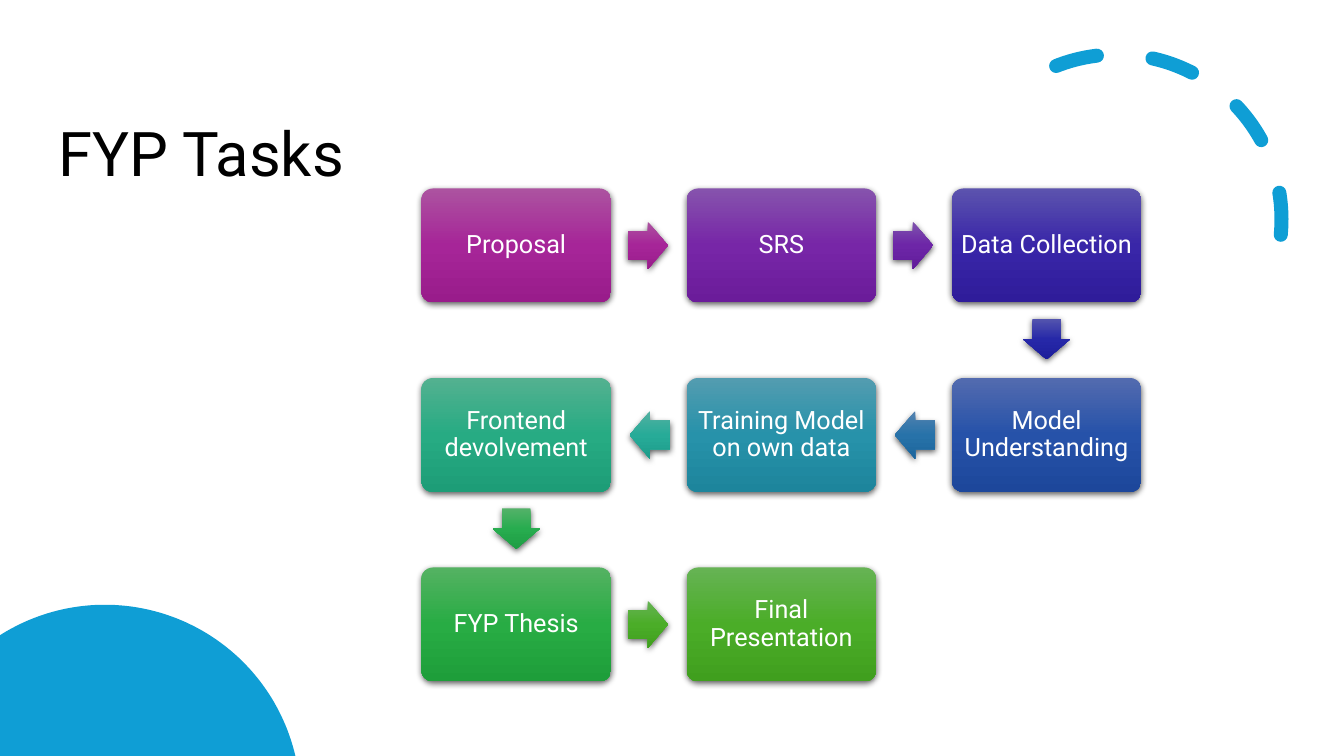
from math import acos, asin, cos, sin

from pptx import Presentation
from pptx.dml.color import RGBColor
from pptx.enum.dml import MSO_LINE
from pptx.enum.shapes import MSO_SHAPE
from pptx.enum.text import MSO_ANCHOR, MSO_AUTO_SIZE, PP_ALIGN
from pptx.oxml import parse_xml
from pptx.oxml.ns import nsdecls
from pptx.util import Pt

PX = 9144  # one hundredth of an inch
FONT = "Roboto"
BLACK = RGBColor(0x00, 0x00, 0x00)
WHITE = RGBColor(0xFF, 0xFF, 0xFF)
BLUE = RGBColor(0x0F, 0x9E, 0xD5)

SLIDE_WIDTH, SLIDE_HEIGHT = 1333, 750
BOX_WIDTH, BOX_HEIGHT = 188, 113
ARROW_WIDTH, ARROW_HEIGHT = 40, 47
GRID_LEFT, GRID_TOP = 418, 187
COLUMN_STEP, ROW_STEP = 263, 188
COLUMNS = 3

# Label, box gradient, gradient of the arrow to the next box
TASKS = [
    ("Proposal", "AC53A0 A62598 991C8B", "AC53A0 A62598 991C8B"),
    ("SRS", "8653AD 7726A7 6B1C9A", "7E53AD 6D26A7 611C9A"),
    ("Data Collection", "5C53AE 3926A8 2F1C9A", "5354AE 2628A8 1D1E9B"),
    ("Model Understanding", "536BAF 2652A9 1D479B", "5382AF 2772A9 1D669C"),
    ("Training Model on own data", "539CB0 2792AA 1D859C", "53B0A1 27AB98 1D9D8B"),
    ("Frontend devolvement", "53B190 27AB83 1D9D77", "54B269 27AC4F 1E9E44"),
    ("FYP Thesis", "54B262 28AC44 1E9E3A", "66B354 4BAD28 409F1E"),
    ("Final Presentation", "66B354 4BAD28 409F1E", None),
]


def add_glossy_shape(kind, center, width, height, gradient):
    """Add a borderless shape with a vertical gradient and a soft shadow."""
    left, top = center[0] - width / 2, center[1] - height / 2
    shape = slide.shapes.add_shape(
        kind, round(left * PX), round(top * PX), width * PX, height * PX)
    shape.line.fill.background()
    colors = [RGBColor.from_string(code) for code in gradient.split()]
    stops = "".join(
        f'<a:gs pos="{index * 50000}"><a:srgbClr val="{color}"/></a:gs>'
        for index, color in enumerate(colors))
    properties = shape.element.spPr
    properties.get_or_add_ln().addprevious(parse_xml(
        f'<a:gradFill {nsdecls("a")} rotWithShape="0"><a:gsLst>{stops}</a:gsLst>'
        '<a:lin ang="5400000" scaled="0"/></a:gradFill>'))
    properties.append(parse_xml(
        f'<a:effectLst {nsdecls("a")}><a:outerShdw blurRad="57150" dist="19050" '
        'dir="5400000" algn="ctr" rotWithShape="0"><a:srgbClr val="000000">'
        '<a:alpha val="63000"/></a:srgbClr></a:outerShdw></a:effectLst>'))
    return shape


def box_center(index):
    """Center of a box on the path that turns back at each row's end."""
    row, column = divmod(index, COLUMNS)
    if row % 2:
        column = COLUMNS - 1 - column
    return (GRID_LEFT + column * COLUMN_STEP + BOX_WIDTH / 2,
            GRID_TOP + row * ROW_STEP + BOX_HEIGHT / 2)


deck = Presentation()
deck.slide_width, deck.slide_height = SLIDE_WIDTH * PX, SLIDE_HEIGHT * PX
slide = deck.slides.add_slide(deck.slide_layouts[5])

# Dashed arc
arc = slide.shapes.add_shape(MSO_SHAPE.ARC, 944 * PX, 54 * PX, 327 * PX, 327 * PX)
arc.adjustments[0] = 144.42
arc.adjustments[1] = 0
arc.rotation = 66.1
arc.element.spPr.xfrm.set("flipH", "1")
arc.shadow.inherit = False
arc.fill.background()
arc.line.color.rgb = BLUE
arc.line.width = Pt(10)
arc.line.dash_style = MSO_LINE.DASH
arc.element.spPr.get_or_add_ln().set("cap", "rnd")

# Title
title = slide.shapes.title
title.left, title.top, title.width, title.height = 48 * PX, 83 * PX, 597 * PX, 145 * PX
title.text_frame.text = "FYP Tasks"
title.text_frame.vertical_anchor = MSO_ANCHOR.MIDDLE
title.text_frame.auto_size = MSO_AUTO_SIZE.NONE
para = title.text_frame.paragraphs[0]
para.alignment = PP_ALIGN.LEFT
para.line_spacing = 0.9
span = para.runs[0]
span.font.name, span.font.size = FONT, Pt(44)
span.font.color.rgb = BLACK

# Circle cut off by the lower left corner
CIRCLE_X, CIRCLE_Y, RADIUS, SEGMENTS = 104, 794, 194, 90
first = asin((CIRCLE_Y - SLIDE_HEIGHT) / RADIUS)
last = acos(-CIRCLE_X / RADIUS)
angles = [first + (last - first) * step / SEGMENTS for step in range(SEGMENTS + 1)]
rim = [((CIRCLE_X + RADIUS * cos(angle)) * PX, (CIRCLE_Y - RADIUS * sin(angle)) * PX)
       for angle in angles]
builder = slide.shapes.build_freeform(0, SLIDE_HEIGHT * PX)
builder.add_line_segments(rim, close=True)
circle = builder.convert_to_shape()
circle.shadow.inherit = False
circle.fill.solid()
circle.fill.fore_color.rgb = BLUE
circle.line.fill.background()

# Task boxes and the arrows between them
for index, (label, box_gradient, arrow_gradient) in enumerate(TASKS):
    x, y = box_center(index)
    box = add_glossy_shape(
        MSO_SHAPE.ROUNDED_RECTANGLE, (x, y), BOX_WIDTH, BOX_HEIGHT, box_gradient)
    box.adjustments[0] = 0.1
    frame = box.text_frame
    frame.text = label
    frame.word_wrap = True
    frame.vertical_anchor = MSO_ANCHOR.MIDDLE
    frame.margin_left = frame.margin_right = 6 * PX
    frame.margin_top = frame.margin_bottom = 6 * PX
    para = frame.paragraphs[0]
    para.alignment = PP_ALIGN.CENTER
    para.line_spacing = 0.9
    span = para.runs[0]
    span.font.name, span.font.size = FONT, Pt(18)
    span.font.color.rgb = WHITE

    if arrow_gradient:
        next_x, next_y = box_center(index + 1)
        if next_y > y:
            rotation, shift_x, shift_y = 90, 0, -1
        elif next_x < x:
            rotation, shift_x, shift_y = 180, 1, 0
        else:
            rotation, shift_x, shift_y = 0, -1, 0
        middle = ((x + next_x) / 2 + shift_x, (y + next_y) / 2 + shift_y)
        arrow = add_glossy_shape(
            MSO_SHAPE.RIGHT_ARROW, middle, ARROW_WIDTH, ARROW_HEIGHT, arrow_gradient)
        arrow.adjustments[0] = 0.6
        arrow.adjustments[1] = 0.5
        arrow.rotation = rotation

deck.save("out.pptx")
